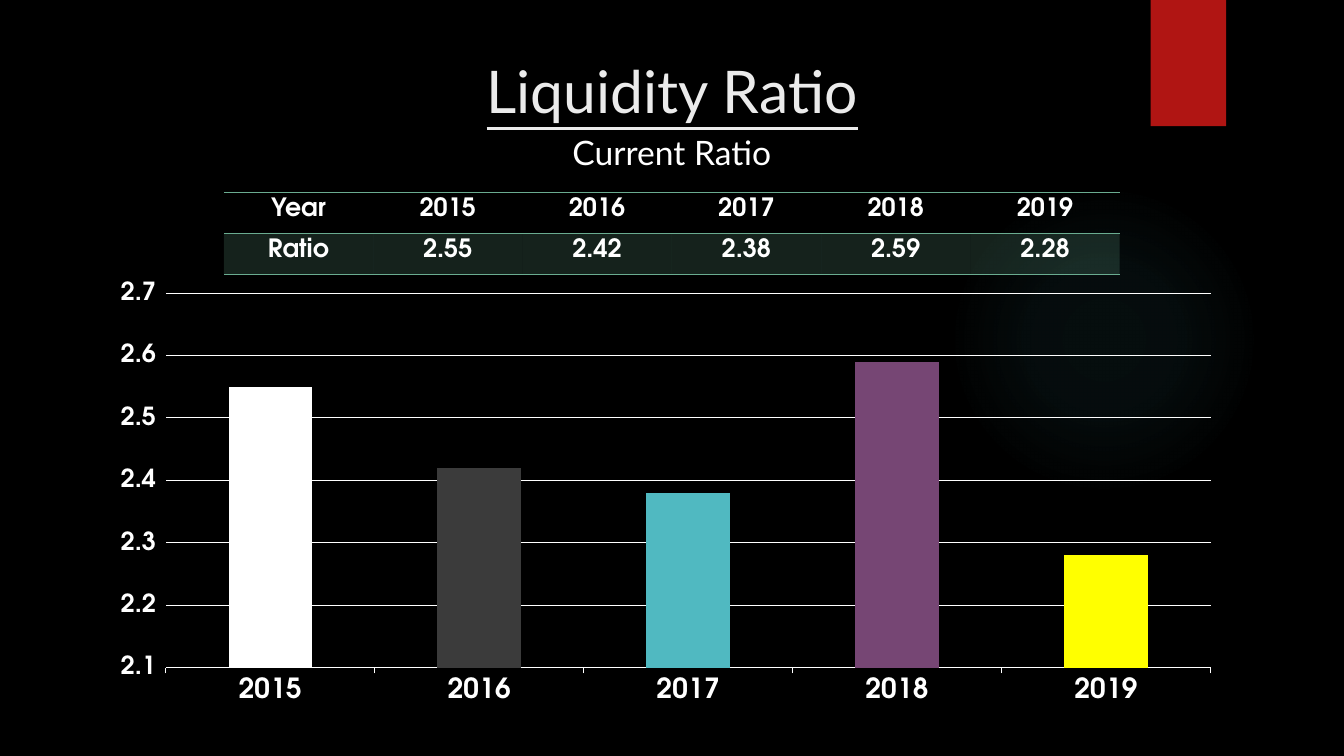
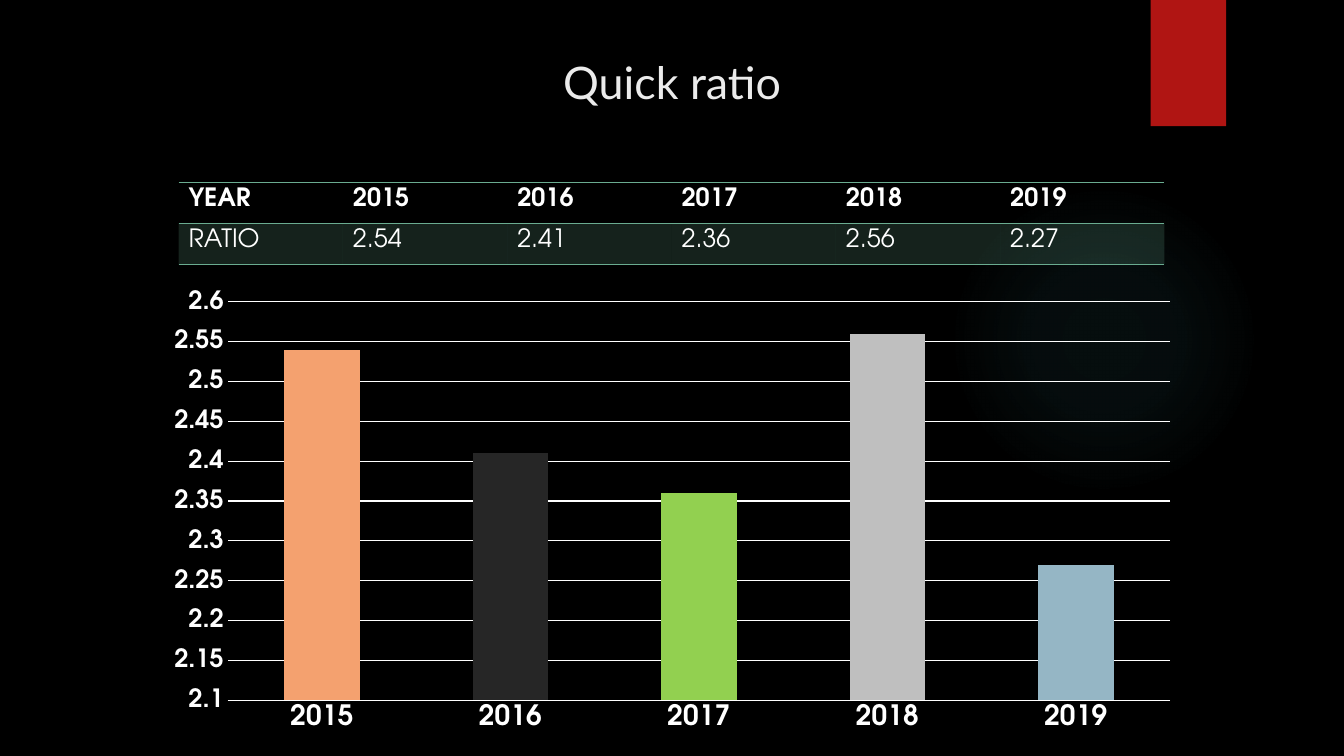
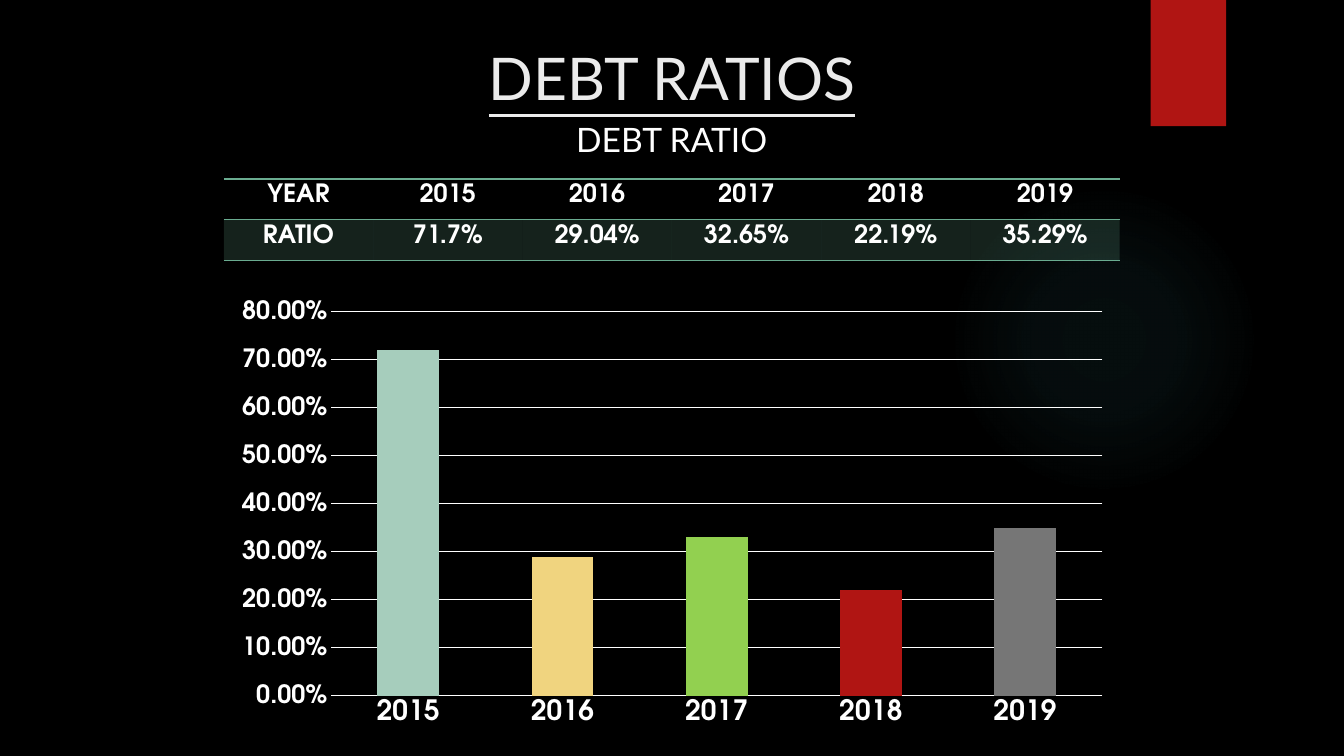
from pptx import Presentation
from pptx.chart.data import CategoryChartData
from pptx.dml.color import RGBColor
from pptx.enum.chart import XL_CHART_TYPE, XL_TICK_MARK
from pptx.enum.shapes import MSO_SHAPE
from pptx.enum.text import MSO_ANCHOR, PP_ALIGN
from pptx.oxml import parse_xml
from pptx.oxml.ns import nsdecls, qn
from pptx.util import Cm, Pt

STACKED = XL_CHART_TYPE.COLUMN_STACKED
TICK_OUT, TICK_NONE = XL_TICK_MARK.OUTSIDE, XL_TICK_MARK.NONE
RECTANGLE, OVAL = MSO_SHAPE.RECTANGLE, MSO_SHAPE.OVAL
TOP = MSO_ANCHOR.TOP
LEFT, CENTER = PP_ALIGN.LEFT, PP_ALIGN.CENTER

BLACK, WHITE, TITLE_GREY = "000000", "FFFFFF", "EBEBEB"
RED, ORANGE, GOLD = "B01513", "EA6312", "E6B729"
TEAL, GREEN = "50B9C1", "6AAC90"
TITLE_FONT, BODY_FONT = "Lato", "TeX Gyre Adventor"
PLAIN_TABLE = "{2D5ABB26-0587-4C30-8999-92F81FD0307C}"
YEARS = ["2015", "2016", "2017", "2018", "2019"]

RATIO_SLIDES = [
    dict(
        title="Liquidity Ratio", subtitle="Current Ratio", title_top=1.26,
        table=dict(box=(5.64, 4.86, 22.58), heights=(1.03, 0.74),
                   labels=("Year", "Ratio"),
                   figures=["2.55", "2.42", "2.38", "2.59", "2.28"]),
        chart=dict(box=(2.38, 7.1, 28.14, 11.3),
                   values=[2.55, 2.42, 2.38, 2.59, 2.28],
                   colours=[WHITE, "3B3B3B", TEAL, "764674", "FFFF00"],
                   scale=(2.1, 2.7, 0.1), tick=TICK_OUT,
                   plot_percent=(6.4, 1.5, 93.6, 84.4)),
    ),
    dict(
        title="Quick ratio", subtitle=None, title_top=1.26,
        table=dict(box=(4.5, 4.6, 24.85), heights=(1.03, 1.03),
                   labels=("YEAR", "RATIO"),
                   figures=["2.54", "2.41", "2.36", "2.56", "2.27"],
                   align=LEFT, bold_figures=False),
        chart=dict(box=(3.87, 7.08, 26.14, 11.56),
                   values=[2.54, 2.41, 2.36, 2.56, 2.27],
                   colours=["F4A16F", "262626", "92D050", "BFBFBF", "95B6C5"],
                   scale=(2.1, 2.6, 0.05)),
    ),
    dict(
        title="DEBT RATIOS", subtitle="DEBT RATIO", title_top=0.93,
        table=dict(box=(5.64, 4.51, 22.58), heights=(1.03, 1.03),
                   labels=("YEAR", "RATIO"),
                   figures=["71.7%", "29.04%", "32.65%", "22.19%", "35.29%"]),
        chart=dict(box=(5.65, 7.34, 22.58, 11.18),
                   values=[0.72, 0.29, 0.33, 0.22, 0.35],
                   colours=["A6CDBC", "F0D47F", "92D050", RED, "767676"],
                   scale=(0, 0.8, 0.1), number_format="0.00%"),
    ),
]


def colour(code):
    return RGBColor.from_string(code)


def lengths(box):
    return [Cm(value) for value in box]


def fill_solid(fill, code):
    fill.solid()
    fill.fore_color.rgb = colour(code)


def style_font(font, name, size, code, bold=False):
    font.name = name
    font.size = Pt(size)
    font.bold = bold
    font.color.rgb = colour(code)


def add_plain_shape(page, kind, box):
    shape = page.shapes.add_shape(kind, *lengths(box))
    shape.shadow.inherit = False
    shape.line.fill.background()
    return shape


def add_backdrop(page):
    fill_solid(page.background.fill, BLACK)

    glow = add_plain_shape(page, OVAL, (23.91, 4.65, 7.82, 7.82))
    stops = "".join(
        f'<a:gs pos="{place * 1000}"><a:srgbClr val="{TEAL}">'
        f'<a:alpha val="{alpha * 1000}"/></a:srgbClr></a:gs>'
        for place, alpha in ((0, 7), (36, 6), (69, 0)))
    glow.element.spPr.insert(2, parse_xml(
        f'<a:gradFill {nsdecls("a")}><a:gsLst>{stops}</a:gsLst>'
        '<a:path path="circle">'
        '<a:fillToRect l="50000" t="50000" r="50000" b="50000"/>'
        '</a:path></a:gradFill>'))

    ribbon = add_plain_shape(page, RECTANGLE, (29, 0, 1.9, 3.18))
    fill_solid(ribbon.fill, RED)


def add_heading(page, text, box, size, code, underline=False):
    frame = page.shapes.add_textbox(*lengths(box)).text_frame
    frame.word_wrap = True
    frame.vertical_anchor = TOP
    para = frame.paragraphs[0]
    para.text = text
    para.alignment = CENTER
    style_font(para.font, TITLE_FONT, size, code)
    para.font.underline = underline


def add_headings(page, title, subtitle, top):
    add_heading(page, title, (3.87, top, 26.14, 3.89),
                42 if subtitle else 32, TITLE_GREY, bool(subtitle))
    if subtitle:
        add_heading(page, subtitle, (4.51, top + 1.95, 24.84, 11.66), 24, WHITE)


def rule_cell(cell):
    properties = cell._tc.get_or_add_tcPr()
    for position, side in enumerate(("lnT", "lnB")):
        properties.insert(position, parse_xml(
            f'<a:{side} {nsdecls("a")} w="{Pt(1)}"><a:solidFill>'
            f'<a:srgbClr val="{GREEN}"/></a:solidFill></a:{side}>'))


def tint_cell(cell):
    fill_solid(cell.fill, GREEN)
    tint = cell._tc.tcPr.find(".//" + qn("a:srgbClr"))
    tint.append(parse_xml(f'<a:alpha {nsdecls("a")} val="20000"/>'))


def add_ratio_table(page, box, heights, labels, figures,
                    align=CENTER, bold_figures=True):
    rows = [[labels[0], *YEARS], [labels[1], *figures]]
    frame = page.shapes.add_table(
        len(rows), len(rows[0]), *lengths((*box, sum(heights))))
    table = frame.table
    table._tbl.tblPr.find(qn("a:tableStyleId")).text = PLAIN_TABLE
    for row, height in zip(table.rows, heights):
        row.height = Cm(height)
    for row_index, texts in enumerate(rows):
        for column_index, text in enumerate(texts):
            cell = table.cell(row_index, column_index)
            if row_index:
                tint_cell(cell)
            else:
                cell.fill.background()
            rule_cell(cell)
            para = cell.text_frame.paragraphs[0]
            para.text = text
            para.alignment = align
            style_font(para.font, BODY_FONT, 18, WHITE,
                       bold_figures or row_index == 0)


def set_line(line):
    line.color.rgb = colour(WHITE)
    line.width = Pt(0.75)


def set_plot_area(chart, percents):
    marks = "".join(f'<c:{name} val="edge"/>' for name in ("xMode", "yMode"))
    sizes = "".join(f'<c:{name} val="{percent / 100:.3f}"/>'
                    for name, percent in zip("xywh", percents))
    plot_area = chart._chartSpace.chart.plotArea
    for layout in plot_area.findall(qn("c:layout")):
        plot_area.remove(layout)
    plot_area.insert(0, parse_xml(
        f'<c:layout {nsdecls("c")}><c:manualLayout>'
        f'<c:layoutTarget val="inner"/>{marks}{sizes}'
        '</c:manualLayout></c:layout>'))


def add_ratio_chart(page, box, values, colours, scale, tick=TICK_NONE,
                    number_format="General", plot_percent=None):
    data = CategoryChartData(number_format=number_format)
    data.categories = YEARS
    blanks = [None] * len(YEARS)
    for number, numbers in enumerate((values, blanks, blanks), 1):
        data.add_series(f"Series {number}", numbers)
    chart = page.shapes.add_chart(STACKED, *lengths(box), data).chart
    chart.has_title = False
    chart.has_legend = False
    style_font(chart.font, BODY_FONT, 10, WHITE)

    plot = chart.plots[0]
    plot.vary_by_categories = False
    plot.gap_width = 150
    plot.overlap = 100
    for series, code in zip(plot.series, (RED, ORANGE, GOLD)):
        fill_solid(series.format.fill, code)
    for index, code in enumerate(colours):
        fill_solid(plot.series[0].points[index].format.fill, code)

    years, ratios = chart.category_axis, chart.value_axis
    for axis, size in ((years, 20), (ratios, 18)):
        axis.major_tick_mark = tick
        axis.minor_tick_mark = TICK_NONE
        style_font(axis.tick_labels.font, BODY_FONT, size, WHITE, True)
    set_line(years.format.line)
    ratios.format.line.fill.background()
    ratios.has_major_gridlines = True
    set_line(ratios.major_gridlines.format.line)
    ratios.minimum_scale, ratios.maximum_scale, ratios.major_unit = scale
    ratios.tick_labels.number_format = number_format
    ratios.tick_labels.number_format_is_linked = False
    if plot_percent:
        set_plot_area(chart, plot_percent)


def add_ratio_slide(deck, title, subtitle, title_top, table, chart):
    page = deck.slides.add_slide(deck.slide_layouts[6])
    add_backdrop(page)
    add_headings(page, title, subtitle, title_top)
    add_ratio_table(page, **table)
    add_ratio_chart(page, **chart)


def main():
    deck = Presentation()
    deck.slide_width, deck.slide_height = Cm(33.87), Cm(19.05)
    for content in RATIO_SLIDES:
        add_ratio_slide(deck, **content)
    deck.save("out.pptx")


if __name__ == "__main__":
    main()
